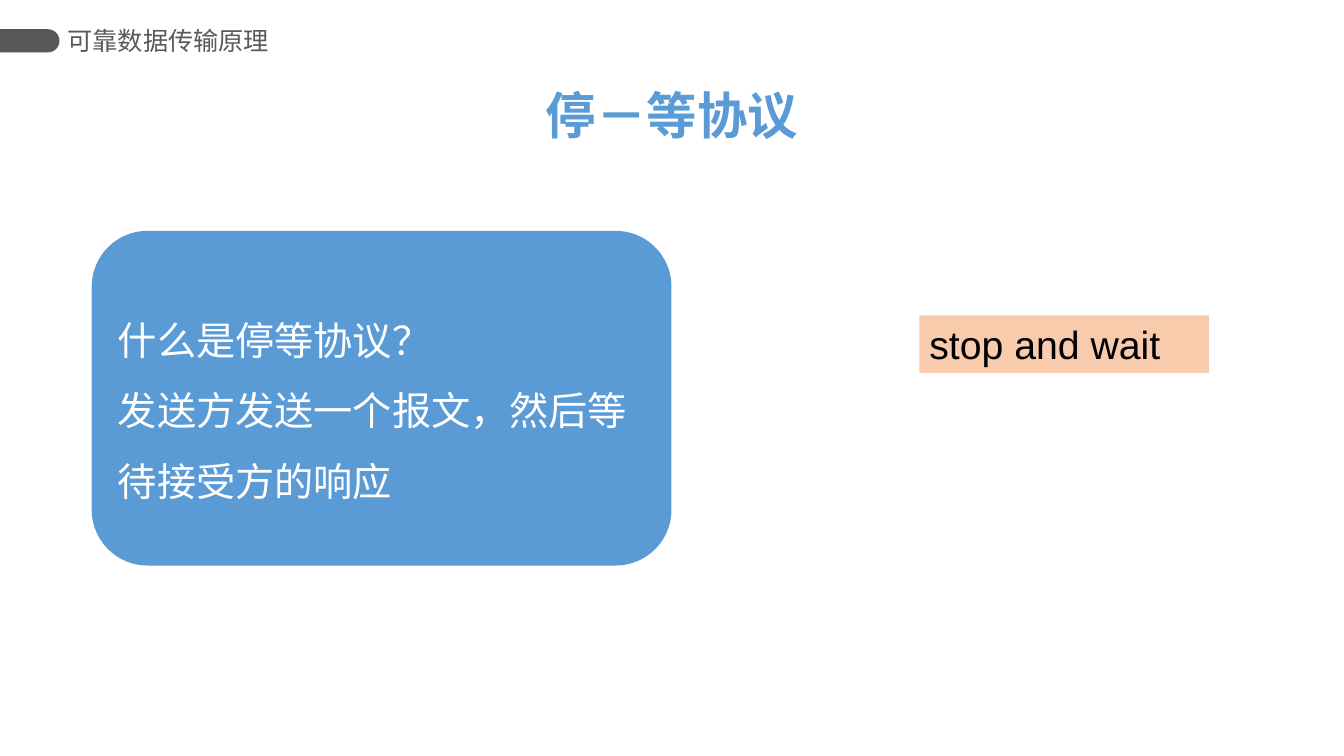
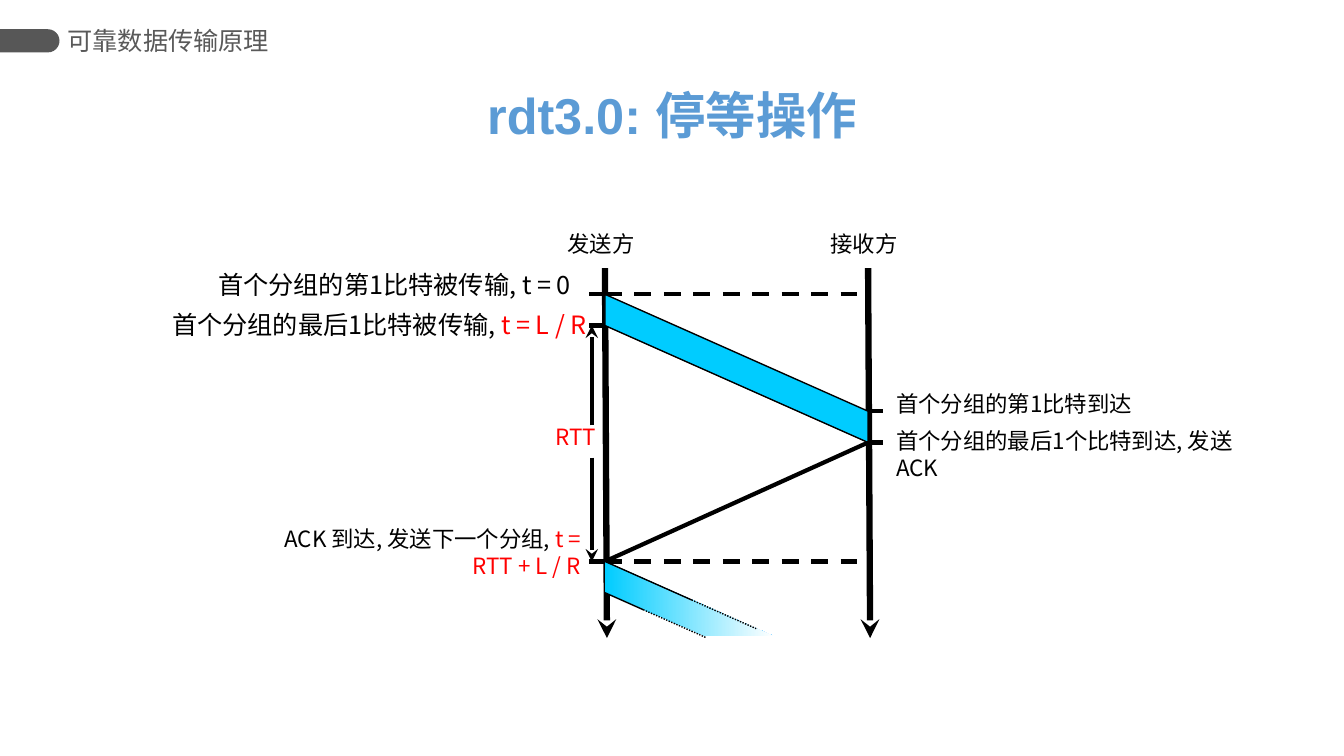
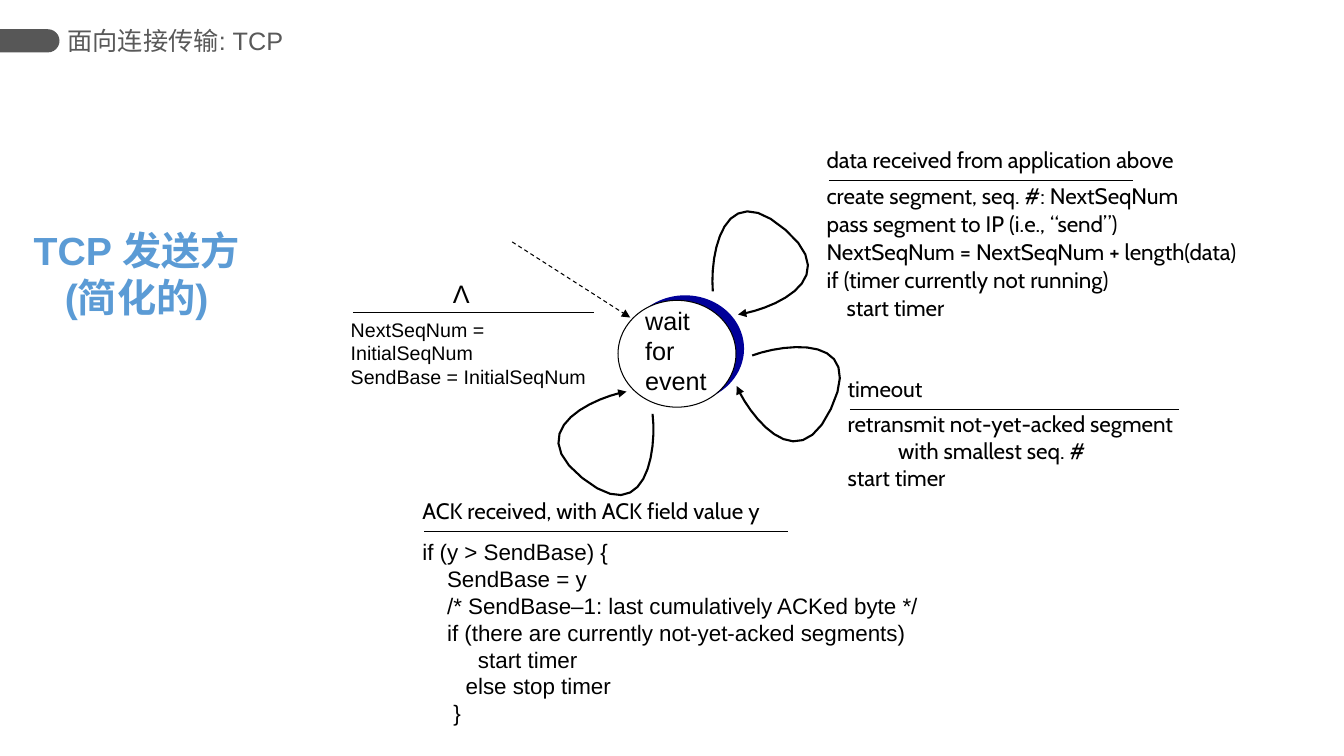
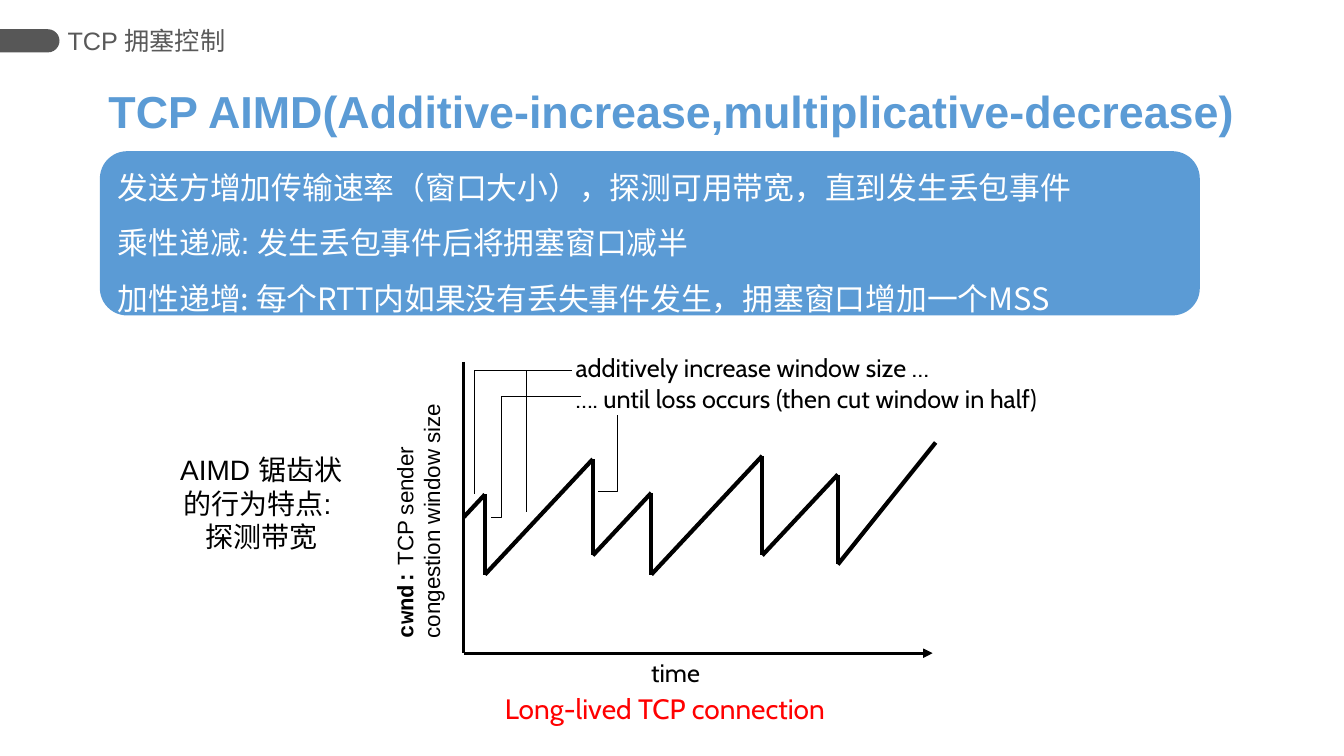
import math
import pptx
import pptx.util
import pptx.dml.color
import pptx.enum.dml
import pptx.enum.shapes
import pptx.enum.text
import pptx.oxml.ns
import lxml.etree

Inches = pptx.util.Inches
SHAPES = pptx.enum.shapes.MSO_SHAPE
ANCHOR = pptx.enum.text.MSO_ANCHOR
ALIGN = {"left": pptx.enum.text.PP_ALIGN.LEFT, "center": pptx.enum.text.PP_ALIGN.CENTER,
         "right": pptx.enum.text.PP_ALIGN.RIGHT}
DASHES = {"dash": pptx.enum.dml.MSO_LINE.DASH, "dot": pptx.enum.dml.MSO_LINE.ROUND_DOT}
BLUE, CYAN, NAVY, PEACH = "5B9BD5", "00CCFF", "000099", "F8CBAD"
DARK, GREY, BLACK, WHITE, RED = "575757", "595959", "000000", "FFFFFF", "FF0000"
CJK = "Noto Sans CJK SC"
PAGE_WIDTH, PAGE_HEIGHT = 13.33, 7.5


def color(value):
    return pptx.dml.color.RGBColor.from_string(value)


def write(box, lines, size, font="Arial", ink=BLACK, align="left", bold=False, spacing=1.0):
    """Each line is a string, or a list of (text, overrides) spans."""
    frame = box.text_frame
    frame.word_wrap = True
    frame.auto_size = pptx.enum.text.MSO_AUTO_SIZE.NONE
    for index, line in enumerate(lines):
        para = frame.add_paragraph() if index else frame.paragraphs[0]
        para.alignment = ALIGN[align]
        para.line_spacing = spacing
        for text, override in [(line, {})] if isinstance(line, str) else line:
            span = para.add_run()
            span.text = text
            span.font.size = pptx.util.Pt(size)
            span.font.bold = override.get("bold", bold)
            span.font.color.rgb = color(override.get("ink", ink))
            span.font.name = override.get("font", font)
            east_asian = lxml.etree.SubElement(span.font._element, pptx.oxml.ns.qn("a:ea"))
            east_asian.set("typeface", CJK)


# Shared line and text styles
hair, thin, thick = dict(width=0.75), dict(width=1), dict(width=3)
note = dict(size=16, font=CJK)
remark = dict(size=18, font=CJK, align="right")
event = dict(size=16, font="Cabin")
caption = dict(size=18, font="Cabin")
code = dict(size=16)

# Timing diagram: two time axes, a packet, its acknowledgement, the next packet
sender, receiver = 6, 8.61
sent, reply, burst, delay = 2.92, 5.57, 0.31, 1.16
arrived = sent + delay
slope = delay / (receiver - sender)
timing = [([(x, 2.66), (x + 0.02, 6.33)], dict(width=4.5, arrow="stealth")) for x in (sender, receiver)]
timing += [([(sender, y), (receiver, y)], dict(thick, dash="dash")) for y in (sent, reply)]
timing += [
    ([(sender, reply), (receiver, arrived + burst)], thick),
    ([(sender, sent), (receiver, arrived), (receiver, arrived + burst), (sender, sent + burst)],
     dict(thin, fill=[CYAN])),
]
timing += [([(sender, y), (sender - 0.16, y)], thick) for y in (sent, sent + burst, reply)]
timing += [([(receiver, y), (receiver + 0.15, y)], thick) for y in (arrived, arrived + burst)]
timing += [([(5.87, start), (5.87, end)], dict(thick, arrow="stealth"))
           for start, end in ((4.54, reply), (4.22, sent + burst))]
fade = [(sender, reply)] + [(sender + run, reply + 0.74) for run in (1.67, 1)] + [(sender, reply + burst)]
timing.append((fade, dict(width=0, fill=[CYAN, WHITE])))
for top, solid, end in ((reply, 0.86, 1.5), (reply + burst, 0.38, 1)):
    edge = [(sender + run, top + run * slope) for run in (0, solid, end)]
    timing += [(edge[:2], thin), (edge[1:], dict(thin, dash="dot"))]

# State machine: event above a rule, action below it
machine = [([(5.08, 2.4), (6.25, 3.15)], dict(hair, dash="dash", arrow="triangle"))]
machine_texts = [((6.3, 2.98, 0.9), ["wait", "for", "event"], dict(size=18))]
for left, rule, length, gap, trigger, trigger_style, action, action_style in [
    (3.5, 3.1, 2.39, 0, "Λ", dict(size=18, align="center"),
     ["NextSeqNum = InitialSeqNum", "SendBase = InitialSeqNum"], dict(size=14)),
    (8.22, 1.79, 3.02, -0.05, "data received from application above", event,
     ["create segment, seq. #: NextSeqNum", "pass segment to IP (i.e., “send”)",
      "NextSeqNum = NextSeqNum + length(data)", "if (timer currently not running)",
      "    start timer"], dict(event, spacing=1.05)),
    (8.43, 4.06, 3.26, -0.04, "timeout", event,
     ["retransmit not-yet-acked segment", "\twith smallest seq. #", "start timer"], event),
    (4.21, 5.27, 3.61, 0.02, "ACK received, with ACK field value y", event,
     ["if (y > SendBase) {", "    SendBase = y",
      "    /* SendBase–1: last cumulatively ACKed byte */",
      "    if (there are currently not-yet-acked segments)",
      "         start timer", "       else stop timer", "     }"], code),
]:
    machine.append(([(left, rule), (left + length, rule)], hair))
    machine_texts.append(((left - 0.12, rule - 0.39, max(length, 2) + 0.8 * (trigger != "Λ")),
                          [trigger], trigger_style))
    wide = 2.78 if trigger == "Λ" else length + 1.6
    machine_texts.append(((left - 0.12, rule + gap, wide), action, action_style))

# Self-transitions: one pair of cubic curves, turned about its centre
control = [-0.66 + 0.46j, -0.69 + 0.1j, -0.56 - 0.69j, 0.06 - 0.15j, 0.68 + 0.38j, -0.16 + 0.66j, -0.41 + 0.69j]
loop = [control[0]]
for first in (0, 3):
    for step in range(1, 13):
        t = step / 12
        loop.append(sum(math.comb(3, k) * t ** k * (1 - t) ** (3 - k) * control[first + k] for k in range(4)))
for middle, angle in ((7.73 + 2.43j, 0), (8.08 + 4.04j, 74.5), (5.83 + 4.59j, 177.9)):
    turn = complex(math.cos(math.radians(angle)), math.sin(math.radians(angle)))
    turned = [middle + turn * point for point in loop]
    machine.append(([(point.real, point.imag) for point in turned], dict(width=1.5, arrow="triangle")))

# Sawtooth: steady growth, then a drop to the next trough
growth = 1.07
x, y = 4.6, 5.13
window = [([(x, 6.48), (9.25, 6.48)], dict(width=2.25, arrow="triangle")),
          ([(x, 3.59), (x, 6.48)], dict(width=2.25))]
for loss, trough in ((4.81, 5.7), (5.88, 5.51), (6.46, 5.7), (7.56, 5.51), (8.31, 5.6)):
    peak = y - growth * (loss - x)
    window += [([(x, y), (loss, peak)], thick), ([(loss, peak), (loss, trough)], thick)]
    x, y = loss, trough
window.append(([(x, y), (9.28, 4.39)], thick))
window += [([(5.67, 3.68), (left, 3.68), (left, bottom)], hair) for left, bottom in ((4.71, 4.9), (5.22, 5.08))]
window += [([(5.76, 3.93), (4.97, 3.93), (4.97, 5.13), (4.87, 5.13)], hair),
           ([(6.12, 4.12), (6.12, 4.88), (5.93, 4.88)], hair)]

# Content of the pages; text places are left, top, width
slides = [
    dict(
        section="可靠数据传输原理", title_width=2.73, heading=["停－等协议"], title_size=36,
        blocks=[
            (SHAPES.ROUNDED_RECTANGLE, (0.91, 2.29, 5.75, 3.32), BLUE,
             ["什么是停等协议？", "发送方发送一个报文，然后等待接受方的响应"],
             dict(size=28, font=CJK, ink=WHITE, spacing=1.5)),
            (SHAPES.RECTANGLE, (9.12, 3.13, 2.87, 0.57), PEACH, ["stop and wait"], dict(size=28)),
        ],
        strokes=[], texts=[]),
    dict(
        section="可靠数据传输原理", section_font="Roboto",
        title_width=3.9, heading=["rdt3.0: 停等操作"], title_size=36,
        blocks=[], strokes=timing,
        texts=[((axis - 0.59, 2.23, 1.1), [name], dict(note, align="center"))
               for axis, name in ((sender, "发送方"), (receiver, "接收方"))] + [
            ((1.32, 2.62, 4.44), ["首个分组的第1比特被传输, t = 0"], remark),
            ((0.36, 3.02, 5.56), [[("首个分组的最后1比特被传输, ", {}), ("t = L / R", dict(ink=RED))]], remark),
            ((5.06, 4.15, 0.95), ["RTT"], dict(note, align="right", ink=RED)),
            ((8.79, 3.82, 3.65), ["首个分组的第1比特到达"], note),
            ((8.79, 4.19, 3.65), ["首个分组的最后1个比特到达, 发送 ACK"], note),
            ((2.71, 5.16, 3.15),
             [[("ACK 到达, 发送下一个分组, ", {}), ("t = RTT + L / R", dict(ink=RED))]],
             dict(note, align="right")),
        ]),
    dict(
        section="面向连接传输: TCP", title_width=2.27, title_corner=(0.22, 2.19),
        heading=["TCP 发送方", "(简化的)"], title_size=28,
        blocks=[(SHAPES.OVAL, (6.21, 2.93, 1.17, 1.06), NAVY, [], {}),
                (SHAPES.OVAL, (6.13, 2.98, 1.17, 1.06), WHITE, [], {})],
        strokes=machine, texts=machine_texts),
    dict(
        section="TCP 拥塞控制", title_width=11.46,
        heading=["TCP AIMD(Additive-increase,multiplicative-decrease)"], title_size=32,
        blocks=[
            (SHAPES.ROUNDED_RECTANGLE, (0.99, 1.5, 10.91, 1.63), BLUE,
             ["发送方增加传输速率（窗口大小），探测可用带宽，直到发生丢包事件",
              "乘性递减: 发生丢包事件后将拥塞窗口减半",
              [("加性递增: 每个RTT内如果没有丢失事件发生，拥塞窗口增加一个MSS", dict(font=CJK))]],
             dict(size=22, ink=WHITE, spacing=1.5)),
        ],
        strokes=window,
        texts=[
            ((2.87, 4.84, 2.55),
             [[("cwnd:", dict(font="Courier New", bold=True)), (" TCP sender", {})],
              "congestion window size"], code, 270),
            ((1.68, 4.44, 1.82), ["AIMD 锯齿状", "的行为特点: ", "探测带宽"], dict(size=20, align="center")),
            ((5.61, 3.45, 5.23),
             ["additively increase window size …", "…. until loss occurs (then cut window in half)"], caption),
            ((6.36, 6.47, 0.8), ["time"], caption),
            ((4.91, 6.81, 3.47), ["Long-lived TCP connection"], dict(size=20, font="Cabin", ink=RED)),
        ]),
]

deck = pptx.Presentation()
deck.slide_width, deck.slide_height = Inches(PAGE_WIDTH), Inches(PAGE_HEIGHT)
layout = deck.slide_layouts[5]

for number, content in enumerate(slides):
    page = deck.slides.add_slide(layout)

    # Section tab at the left edge, kept on the layout for every page
    if number == 0:
        tab = page.shapes.add_shape(SHAPES.ROUND_2_SAME_RECTANGLE,
                                    Inches(0.18), Inches(0.11), Inches(0.23), Inches(0.59))
        tab.rotation = 90
        tab.adjustments[0] = 0.5
        tab.shadow.inherit = False
        tab.fill.solid()
        tab.fill.fore_color.rgb = color(DARK)
        tab.line.fill.background()
        layout.shapes.element.append(tab.element)

    # Title and section label
    title = page.shapes.title
    width = content["title_width"]
    left, top = content.get("title_corner", ((PAGE_WIDTH - width) / 2, 0.78))
    title.left, title.top, title.width, title.height = map(Inches, (left, top, width, 0.7))
    title.text_frame.vertical_anchor = ANCHOR.TOP
    write(title, content["heading"], content["title_size"], ink=BLUE, align="center", bold=True)
    label = page.shapes.add_textbox(Inches(0.67), Inches(0.19), Inches(2.33), Inches(0.42))
    label.text_frame.margin_left = label.text_frame.margin_right = 0
    label.text_frame.vertical_anchor = ANCHOR.MIDDLE
    write(label, [content["section"]], 18, content.get("section_font", "Arial"), GREY)

    # Filled blocks; only white ones are outlined
    for preset, place, fill, lines, style in content["blocks"]:
        block = page.shapes.add_shape(preset, *map(Inches, place))
        block.shadow.inherit = False
        block.fill.solid()
        block.fill.fore_color.rgb = color(fill)
        if fill == WHITE:
            block.line.color.rgb = color(BLACK)
            block.line.width = pptx.util.Pt(0.75)
        else:
            block.line.fill.background()
        if lines:
            block.text_frame.vertical_anchor = ANCHOR.MIDDLE
            write(block, lines, **style)

    # Lines and outlines
    for points, style in content["strokes"]:
        corners = [(Inches(x), Inches(y)) for x, y in points]
        fill = style.get("fill", [])
        if len(corners) == 2:
            stroke = page.shapes.add_connector(pptx.enum.shapes.MSO_CONNECTOR.STRAIGHT,
                                               *corners[0], *corners[1])
        else:
            builder = page.shapes.build_freeform(*corners[0], scale=1.0)
            builder.add_line_segments(corners[1:], close=bool(fill))
            stroke = builder.convert_to_shape()
            if len(fill) == 2:
                stroke.fill.gradient()
                stroke.fill.gradient_angle = 0
                for stop, shade in zip(stroke.fill.gradient_stops, fill):
                    stop.color.rgb = color(shade)
            elif fill:
                stroke.fill.solid()
                stroke.fill.fore_color.rgb = color(fill[0])
            else:
                stroke.fill.background()
        if style["width"]:
            stroke.line.color.rgb = color(BLACK)
            stroke.line.width = pptx.util.Pt(style["width"])
        else:
            stroke.line.fill.background()
        if "dash" in style:
            stroke.line.dash_style = DASHES[style["dash"]]
        properties = stroke.element.spPr
        if "arrow" in style:
            outline = properties.find(pptx.oxml.ns.qn("a:ln"))
            lxml.etree.SubElement(outline, pptx.oxml.ns.qn("a:tailEnd")).set("type", style["arrow"])
        lxml.etree.SubElement(properties, pptx.oxml.ns.qn("a:effectLst"))

    # Labels, as high as their lines
    for (left, top, width), lines, style, *rotation in content["texts"]:
        height = len(lines) * style["size"] / 60 + 0.1
        box = page.shapes.add_textbox(*map(Inches, (left, top, width, height)))
        box.rotation = rotation[0] if rotation else 0
        write(box, lines, **style)

deck.save("out.pptx")
